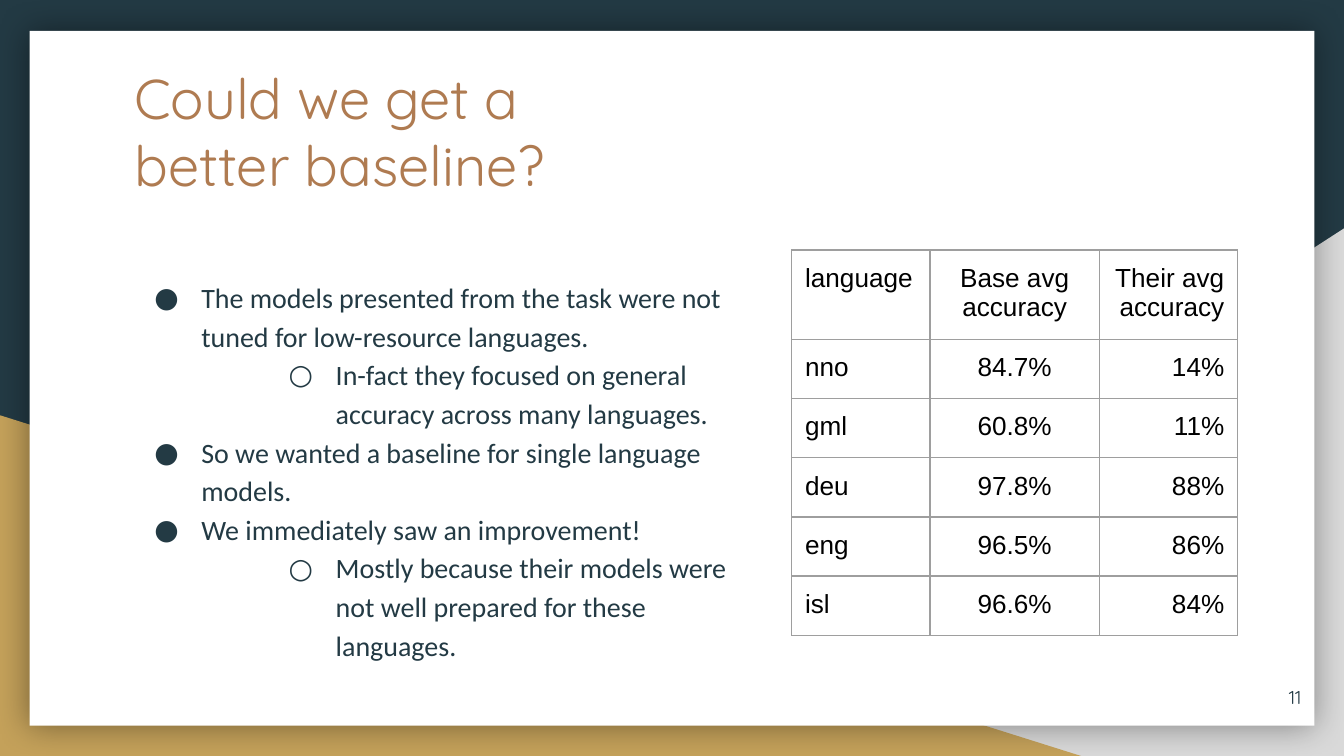
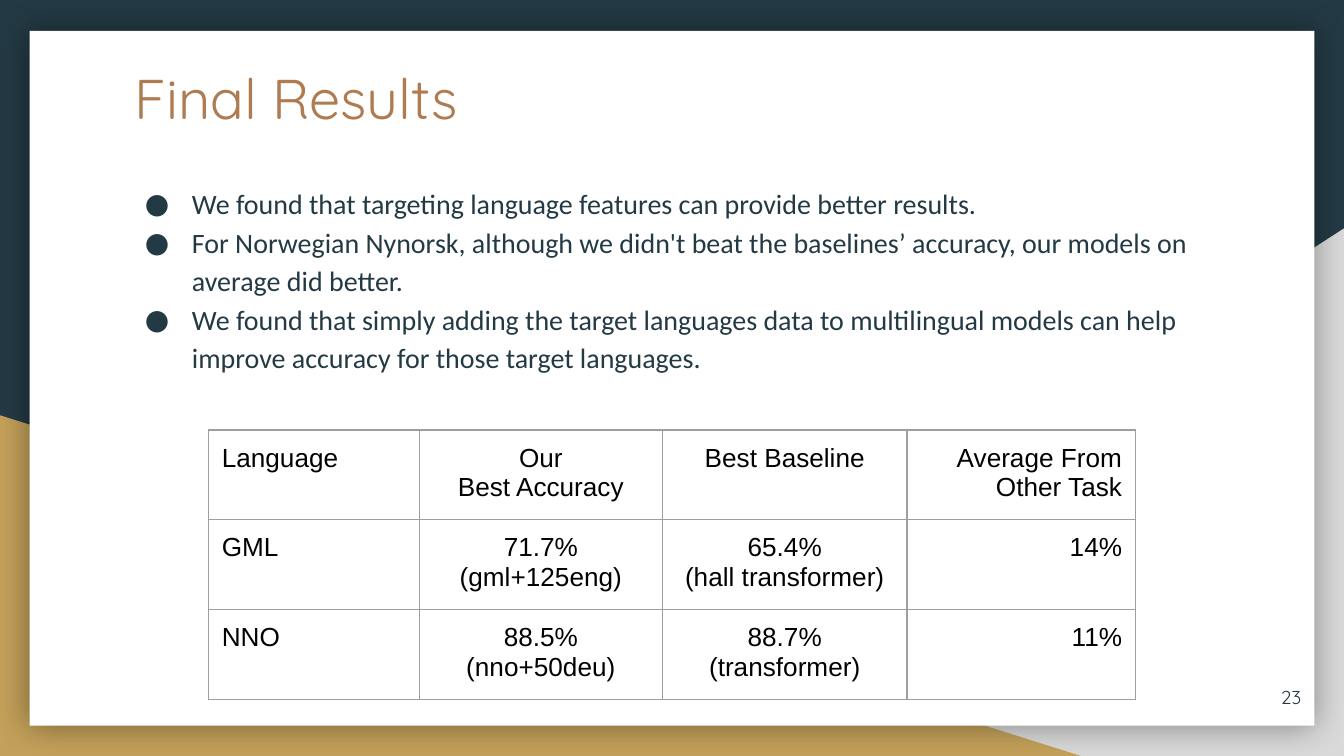
from lxml import etree
from pptx import Presentation
from pptx.dml.color import RGBColor
from pptx.enum import shapes, text
from pptx.oxml import ns
from pptx.util import Inches, Pt

NAVY, GOLD, GREY, WHITE = "233A44", "C4A15A", "D9D9D9", "FFFFFF"
COPPER, BLACK, RULE = "AF7B51", "000000", "9E9E9E"
LEFT, MID, RIGHT = text.PP_ALIGN.LEFT, text.PP_ALIGN.CENTER, text.PP_ALIGN.RIGHT
TOP = text.MSO_ANCHOR.TOP
WIDTH = Inches(10)
HEIGHT = WIDTH * 9 // 16
PAD = 0.1


def paint(target, hue):
    target.solid()
    target.fore_color.rgb = RGBColor.from_string(hue)


def node(parent, tag, **attrs):
    return etree.SubElement(parent, ns.qn("a:" + tag),
                            {key: str(val) for key, val in attrs.items()})


def pad(owner):
    owner.margin_left = owner.margin_right = Inches(PAD)
    owner.margin_top = owner.margin_bottom = Inches(PAD)


def write(frame, lines, size, face, hue, align=LEFT):
    frame.word_wrap = True
    for num, line in enumerate(lines):
        para = frame.add_paragraph() if num else frame.paragraphs[0]
        para.alignment = align
        run = para.add_run()
        run.text = line
        run.font.size, run.font.name = Pt(size), face
        run.font.color.rgb = RGBColor.from_string(hue)


def add_text(slide, box, lines, size, face, hue, align=LEFT, anchor=TOP):
    frame = slide.shapes.add_textbox(*map(Inches, box)).text_frame
    pad(frame)
    frame.vertical_anchor = anchor
    write(frame, lines, size, face, hue, align)
    return frame


def add_block(slide, kind, box, hue):
    block = slide.shapes.add_shape(kind, *map(Inches, box))
    block.shadow.inherit = False
    paint(block.fill, hue)
    block.line.fill.background()
    return block


def add_glow(block, blur, alpha):
    effects = block.element.spPr.find(ns.qn("a:effectLst"))
    glow = node(effects, "outerShdw", blurRad=Pt(blur), dist=0, dir=0,
                algn="ctr", rotWithShape=0)
    node(node(glow, "srgbClr", val=BLACK), "alpha", val=alpha * 1000)


def add_back(slide, layout):
    paint(layout.background.fill, NAVY)
    wedge = shapes.MSO_SHAPE.RIGHT_TRIANGLE
    right = add_block(slide, wedge, (3.92, 1.7, 6.08, 3.93), GREY)
    right.element.spPr.xfrm.set("flipH", "1")
    left = add_block(slide, wedge, (0, 3.09, 8.06, 2.54), GOLD)
    card = add_block(slide, shapes.MSO_SHAPE.RECTANGLE, (0.22, 0.23, 9.56, 5.17), WHITE)
    add_glow(card, 18, 40)
    for block in (right, left, card):
        layout.shapes.element.append(block.element)


def set_title(slide, box, words):
    title = slide.shapes.title
    title.left, title.top, title.width, title.height = map(Inches, box)
    frame = title.text_frame
    pad(frame)
    frame.auto_size = text.MSO_AUTO_SIZE.NONE
    frame.vertical_anchor = TOP
    write(frame, [words], 30, "Quicksand", COPPER)


def add_list(slide, box, items):
    frame = add_text(slide, box, [line for level, line in items], 15, "Calibri", NAVY)
    for para, (level, line) in zip(frame.paragraphs, items):
        para.level = level
        para.line_spacing = 1.15
        props = para._p.get_or_add_pPr()
        props.set("marL", str(Inches(0.5 + level)))
        props.set("indent", str(Inches(-0.35)))
        node(node(props, "buClr"), "srgbClr", val=NAVY)
        node(props, "buFont", typeface="Quicksand")
        node(props, "buChar", char="●○"[level])


def add_edges(cell):
    props = cell._tc.get_or_add_tcPr()
    for spot, side in enumerate(("lnL", "lnR", "lnT", "lnB")):
        edge = node(props, side, w=Pt(0.75))
        node(node(edge, "solidFill"), "srgbClr", val=RULE)
        props.insert(spot, edge)


def add_grid(slide, spot, widths, heights, rows):
    box = (*spot, sum(widths), sum(heights))
    grid = slide.shapes.add_table(len(rows), len(widths), *map(Inches, box)).table
    grid.first_row = grid.horz_banding = False
    for col, width in zip(grid.columns, widths):
        col.width = Inches(width)
    for row, height in zip(grid.rows, heights):
        row.height = Inches(height)
    aligns = [LEFT] + [MID] * (len(widths) - 2) + [RIGHT]
    for row, words in zip(grid.rows, rows):
        for cell, word, align in zip(row.cells, words, aligns):
            pad(cell)
            cell.fill.background()
            add_edges(cell)
            write(cell.text_frame, word.split("\n"), 14, "Arial", BLACK, align)


def add_page(deck, layout, title, span, number):
    slide = deck.slides.add_slide(layout)
    set_title(slide, (0.9, 0.37, span, 1.04), title)
    add_text(slide, (9.18, 4.97, 0.6, 0.43), [number], 10, "Quicksand", NAVY,
             RIGHT, text.MSO_ANCHOR.MIDDLE)
    return slide


def add_baseline(deck, layout):
    slide = add_page(deck, layout, "Could we get a better baseline?", 3.77, "11")
    add_list(slide, (0.9, 1.95, 4.84, 2.68), [
        (0, "The models presented from the task were not tuned for low-resource languages."),
        (1, "In-fact they focused on general accuracy across many languages."),
        (0, "So we wanted a baseline for single language models."),
        (0, "We immediately saw an improvement!"),
        (1, "Mostly because their models were not well prepared for these languages."),
    ])
    add_grid(slide, (5.89, 1.86), (1.03, 1.26, 1.03), [0.44] * 6, [
        ("language", "Base avg accuracy", "Their avg accuracy"),
        ("nno", "84.7%", "14%"),
        ("gml", "60.8%", "11%"),
        ("deu", "97.8%", "88%"),
        ("eng", "96.5%", "86%"),
        ("isl", "96.6%", "84%"),
    ])
    return slide


def add_results(deck, layout):
    slide = add_page(deck, layout, "Final Results", 8.21, "23")
    add_list(slide, (0.83, 1.25, 8.21, 2.68), [
        (0, "We found that targeting language features can provide better results."),
        (0, "For Norwegian Nynorsk, although we didn't beat the baselines’ accuracy, "
            "our models on average did better."),
        (0, "We found that simply adding the target languages data to multilingual "
            "models can help improve accuracy for those target languages."),
    ])
    add_grid(slide, (1.55, 3.2), (1.57, 1.81, 1.82, 1.7), (0.66, 0.67, 0.44), [
        ("Language", "Our\nBest Accuracy", "Best Baseline", "Average From Other Task"),
        ("GML", "71.7%\n(gml+125eng)", "65.4%\n(hall transformer)", "14%"),
        ("NNO", "88.5%\n(nno+50deu)", "88.7%\n(transformer)", "11%"),
    ])


def main():
    deck = Presentation()
    deck.slide_width, deck.slide_height = WIDTH, HEIGHT
    layout = deck.slide_layouts[5]
    first = add_baseline(deck, layout)
    add_back(first, layout)
    add_results(deck, layout)
    deck.save("out.pptx")


if __name__ == "__main__":
    main()
